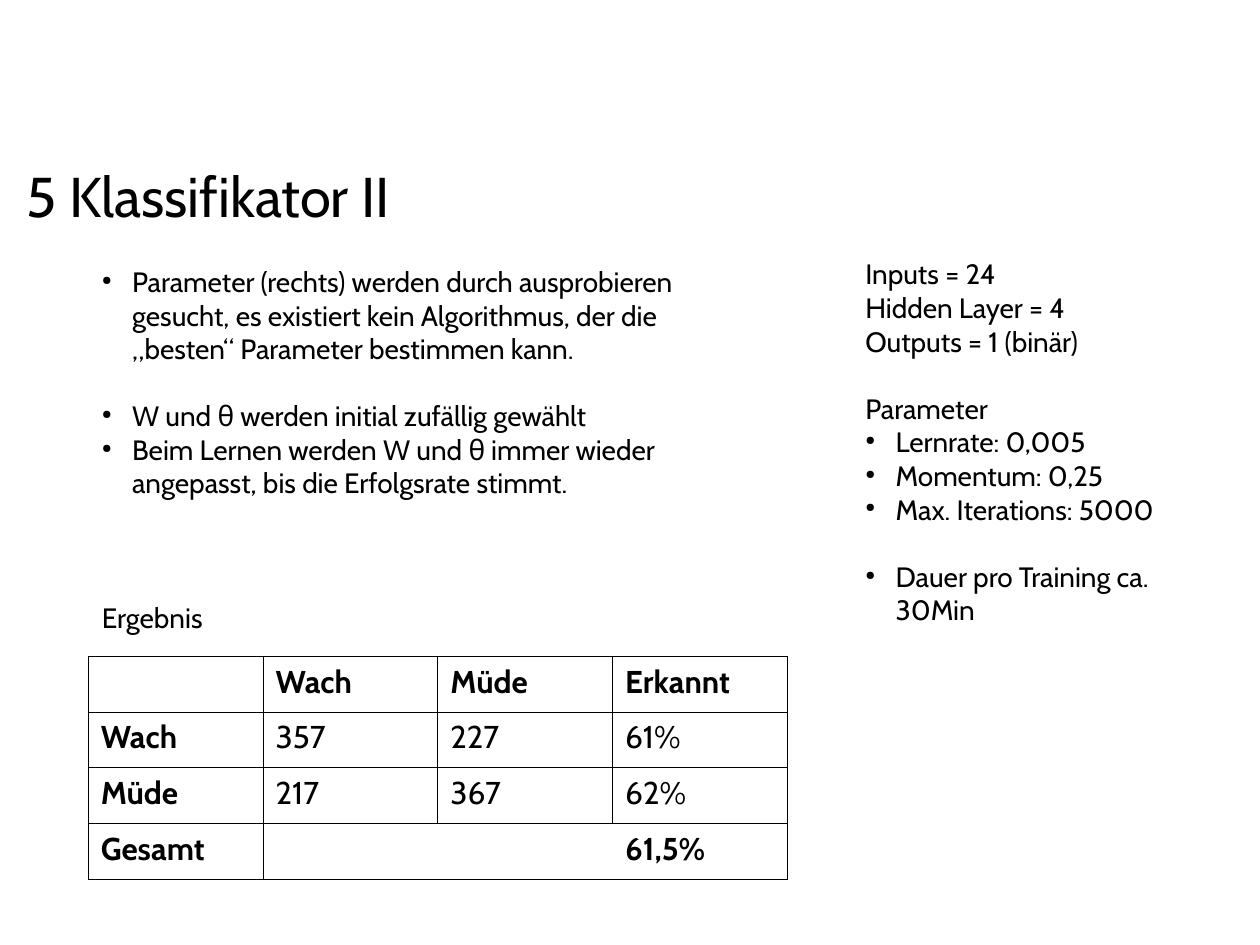
from collections import namedtuple
from dataclasses import dataclass

from lxml.etree import SubElement
from pptx import Presentation
from pptx.dml.color import RGBColor as Rgb
from pptx.enum.text import MSO_ANCHOR as Anchor
from pptx.oxml.ns import qn
from pptx.util import Inches, Pt

Box = namedtuple("Box", "left top width height")  # grid columns and rows
Line = namedtuple("Line", "text bullet gap", defaults=(False, 0))  # gap in lines


@dataclass(frozen=True)
class Theme:
    font: str = "Cabin"
    ink: str = "000000"
    paper: str = "FFFFFF"
    title: int = 32
    body: int = 16
    table: int = 18
    line_height: float = 1.2
    border: float = 0.57
    bullet_share: int = 45
    indent: float = 2.4


THEME = Theme()
COLUMNS, ROWS = 100, 75
SLIDE_WIDTH, SLIDE_HEIGHT = Inches(10), Inches(7.5)

TITLE_BOX = Box(1.1, 12, 96.4, 6.9)
METHOD_BOX = Box(7.1, 20.5, 51.2, 48.8)
SETTINGS_BOX = Box(67.7, 19.9, 30.7, 48.8)
RESULT_BOX = Box(7, 52.1, 55.5, 17.7)

METHOD = [
    Line("Parameter (rechts) werden durch ausprobieren gesucht, es existiert "
         "kein Algorithmus, der die „besten“ Parameter bestimmen kann.", True),
    Line("W und θ werden initial zufällig gewählt", True, 1),
    Line("Beim Lernen werden W und θ immer wieder angepasst, "
         "bis die Erfolgsrate stimmt.", True),
    Line("Ergebnis", gap=3),
]
SETTINGS = [
    Line("Inputs = 24"),
    Line("Hidden Layer = 4"),
    Line("Outputs = 1 (binär)"),
    Line("Parameter", gap=1),
    Line("Lernrate: 0,005", True),
    Line("Momentum: 0,25", True),
    Line("Max. Iterations: 5000", True),
    Line("Dauer pro Training ca. 30Min", True, 1),
]
RESULTS = [
    ["", "Wach", "Müde", "Erkannt"],
    ["Wach", "357", "227", "61%"],
    ["Müde", "217", "367", "62%"],
    ["Gesamt", "61,5%", "", ""],
]


def across(columns):
    return round(SLIDE_WIDTH * columns / COLUMNS)


def down(rows):
    return round(SLIDE_HEIGHT * rows / ROWS)


def place(box):
    return across(box.left), down(box.top), across(box.width), down(box.height)


def set_font(paragraph, size, bold=False):
    font = paragraph.font
    font.name, font.size, font.bold = THEME.font, Pt(size), bold
    font.color.rgb = Rgb.from_string(THEME.ink)


def add_bullet(paragraph):
    properties = paragraph._p.get_or_add_pPr()
    indent = across(THEME.indent)
    properties.set("marL", str(indent))
    properties.set("indent", str(-indent))
    colour = SubElement(properties, qn("a:buClr"))
    SubElement(colour, qn("a:srgbClr"), val=THEME.ink)
    SubElement(properties, qn("a:buSzPct"), val=str(THEME.bullet_share * 1000))
    SubElement(properties, qn("a:buChar"), char="●")


def add_borders(cell):
    properties = cell._tc.get_or_add_tcPr()
    for position, side in enumerate(("a:lnL", "a:lnR", "a:lnT", "a:lnB")):
        border = properties.makeelement(qn(side), {"w": str(Pt(THEME.border))})
        SubElement(SubElement(border, qn("a:solidFill")),
                   qn("a:srgbClr"), val=THEME.ink)
        properties.insert(position, border)


def add_title(slide, box, title):
    frame = slide.shapes.add_textbox(*place(box)).text_frame
    frame.vertical_anchor = Anchor.MIDDLE
    frame.text = title
    set_font(frame.paragraphs[0], THEME.title)


def add_text_column(slide, box, lines):
    frame = slide.shapes.add_textbox(*place(box)).text_frame
    frame.word_wrap = True
    for number, line in enumerate(lines):
        paragraph = frame.add_paragraph() if number else frame.paragraphs[0]
        paragraph.text = line.text
        set_font(paragraph, THEME.body)
        if line.gap:
            paragraph.space_before = Pt(line.gap * THEME.body * THEME.line_height)
        if line.bullet:
            add_bullet(paragraph)


def add_result_table(slide, box, results):
    table = slide.shapes.add_table(len(results), len(results[0]), *place(box)).table
    table.first_row = table.horz_banding = False
    last = len(results) - 1
    for row, values in enumerate(results):
        for column, value in enumerate(values):
            cell = table.cell(row, column)
            cell.text = value
            cell.fill.solid()
            cell.fill.fore_color.rgb = Rgb.from_string(THEME.paper)
            add_borders(cell)
            set_font(cell.text_frame.paragraphs[0], THEME.table,
                     bold=row in (0, last) or column == 0)
    # The total spans the counts and lines up with the last column
    total = table.cell(last, 1)
    total.merge(table.cell(last, 3))
    total.margin_left += 2 * table.columns[1].width


def main():
    deck = Presentation()
    deck.slide_width, deck.slide_height = SLIDE_WIDTH, SLIDE_HEIGHT
    slide = deck.slides.add_slide(deck.slide_layouts[6])
    add_title(slide, TITLE_BOX, "5 Klassifikator II")
    add_text_column(slide, METHOD_BOX, METHOD)
    add_text_column(slide, SETTINGS_BOX, SETTINGS)
    add_result_table(slide, RESULT_BOX, RESULTS)
    deck.save("out.pptx")


if __name__ == "__main__":
    main()
